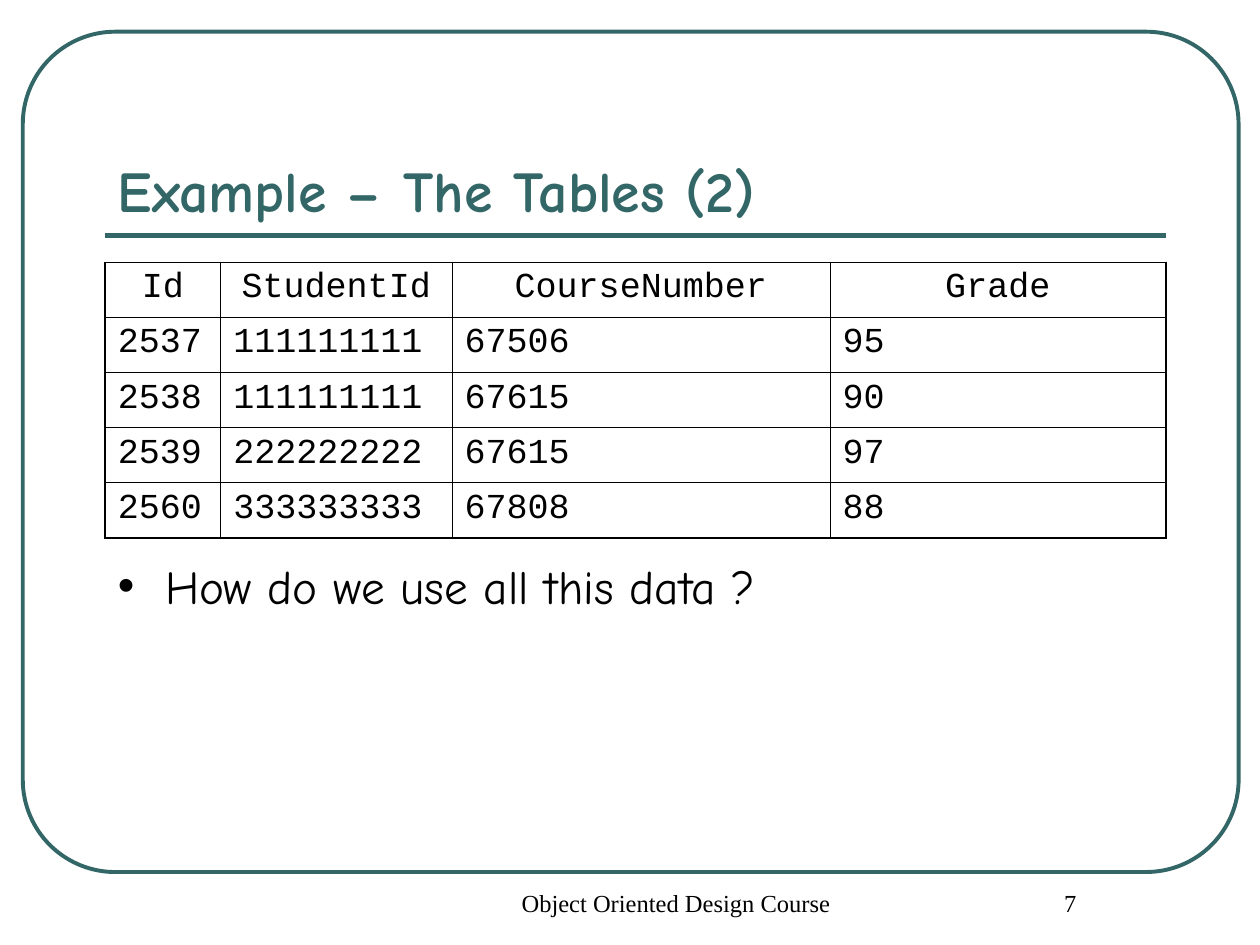
"""Build the slide with the course-grades table and a closing question."""
from dataclasses import dataclass

from lxml import etree
from pptx import Presentation
from pptx import util as u
from pptx.dml.color import RGBColor
from pptx.enum import shapes, text
from pptx.oxml import ns

TEAL, BLACK, SAND = "336666", "000000", "CCCC99"
LEFT, WIDTH = 2.12, 21.38
COLUMNS = (2.33, 4.66, 7.62, 6.77)
ROW_HEIGHT = 1.11
OUTER, INNER = 1.08, 0.45
ROWS = (
    ("Id", "StudentId", "CourseNumber", "Grade"),
    ("2537", "111111111", "67506", "95"),
    ("2538", "111111111", "67615", "90"),
    ("2539", "222222222", "67615", "97"),
    ("2560", "333333333", "67808", "88"),
)


@dataclass
class Style:
    font: str
    size: float
    color: str = BLACK
    bold: bool = False
    align: text.PP_ALIGN = text.PP_ALIGN.LEFT


@dataclass
class Footer:
    text: str
    left: float
    width: float


FOOTERS = (
    Footer("Object Oriented Design Course", 9.31, 8.04),
    Footer("7", 19.05, 4.45),
)


def rgb(color: str) -> RGBColor:
    return RGBColor.from_string(color)


def add_xml(parent, tag: str, **attributes: str):
    return etree.SubElement(parent, ns.qn(tag), attributes)


def place(sp, left: float, top: float, width: float, height: float) -> None:
    sp.left, sp.top, sp.width, sp.height = map(u.Cm, (left, top, width, height))


def style_paragraph(p, style: Style) -> None:
    p.alignment = style.align
    p.space_before = u.Pt(0)
    p.font.name = style.font
    p.font.size = u.Pt(style.size)
    p.font.bold = style.bold
    p.font.color.rgb = rgb(style.color)


def write(tf, content: str, style: Style) -> None:
    tf.word_wrap = True
    tf.auto_size = text.MSO_AUTO_SIZE.NONE
    tf.text = content
    style_paragraph(tf.paragraphs[0], style)


def add_frame(s) -> None:
    frame = s.shapes.add_shape(shapes.MSO_SHAPE.ROUNDED_RECTANGLE,
                               u.Cm(0.46), u.Cm(0.64), u.Cm(24.51), u.Cm(16.94))
    frame.adjustments[0] = 0.11
    frame.shadow.inherit = False
    frame.fill.background()
    rule = s.shapes.add_connector(shapes.MSO_CONNECTOR.STRAIGHT, u.Cm(LEFT),
                                  u.Cm(4.75), u.Cm(LEFT + WIDTH), u.Cm(4.75))
    add_xml(rule.element.spPr, "a:effectLst")
    for sp, weight in ((frame, 2.25), (rule, 3)):
        sp.line.color.rgb = rgb(TEAL)
        sp.line.width = u.Pt(weight)
        s.shapes.title.element.addprevious(sp.element)


def add_border(cell, side: str, weight: float) -> None:
    line = add_xml(cell._tc.get_or_add_tcPr(), f"a:ln{side}", w=str(u.Pt(weight)))
    add_xml(add_xml(line, "a:solidFill"), "a:srgbClr", val=BLACK)


def add_grades(s):
    graphic = s.shapes.add_table(len(ROWS), len(COLUMNS), u.Cm(LEFT), u.Cm(5.29),
                                 u.Cm(WIDTH), u.Cm(ROW_HEIGHT * len(ROWS)))
    table = graphic.table
    table.first_row = table.horz_banding = False
    for column, width in zip(table.columns, COLUMNS):
        column.width = u.Cm(width)
    for i, values in enumerate(ROWS):
        table.rows[i].height = u.Cm(ROW_HEIGHT)
        align = text.PP_ALIGN.LEFT if i else text.PP_ALIGN.CENTER
        for j, value in enumerate(values):
            cell = table.cell(i, j)
            cell.text = value
            style_paragraph(cell.text_frame.paragraphs[0],
                            Style("Courier New", 20, align=align))
            edges = {"L": j == 0, "R": j == len(COLUMNS) - 1,
                     "T": i == 0, "B": i == len(ROWS) - 1}
            for side, outer in edges.items():
                add_border(cell, side, OUTER if outer else INNER)
            cell.fill.background()
    return graphic


def add_bullet(p) -> None:
    pPr = p._p.get_or_add_pPr()
    pPr.set("marL", str(u.Cm(0.95)))
    pPr.set("indent", str(u.Cm(-0.95)))
    add_xml(add_xml(pPr, "a:buClr"), "a:srgbClr", val=SAND)
    add_xml(pPr, "a:buSzPct", val="70000")
    add_xml(pPr, "a:buChar", char="●")


def add_footer(s, footer: Footer) -> None:
    sp = s.shapes.add_textbox(u.Cm(footer.left), u.Cm(17.78),
                              u.Cm(footer.width), u.Cm(1.27))
    write(sp.text_frame, footer.text,
          Style("Times New Roman", 14, align=text.PP_ALIGN.CENTER))
    sp.text_frame.paragraphs[0]._p.get_or_add_pPr().set("marL", str(u.Cm(0.6)))


def main() -> None:
    prs = Presentation()
    prs.slide_width, prs.slide_height = u.Cm(25.4), u.Cm(19.05)
    s = prs.slides.add_slide(prs.slide_layouts[1])
    title, body = s.shapes.title, s.placeholders[1]

    add_frame(s)
    place(title, LEFT, 1.47, WIDTH, 3.18)
    write(title.text_frame, "Example – The Tables (2)",
          Style("Comic Neue", 33, TEAL, bold=True))
    title.text_frame.vertical_anchor = text.MSO_ANCHOR.BOTTOM

    body.element.addprevious(add_grades(s).element)
    place(body, LEFT, 11.1, WIDTH, 5.38)
    add_bullet(body.text_frame.paragraphs[0])
    write(body.text_frame, "How do we use all this data ?", Style("Comic Neue", 27))

    for footer in FOOTERS:
        add_footer(s, footer)
    prs.save("out.pptx")


if __name__ == "__main__":
    main()
